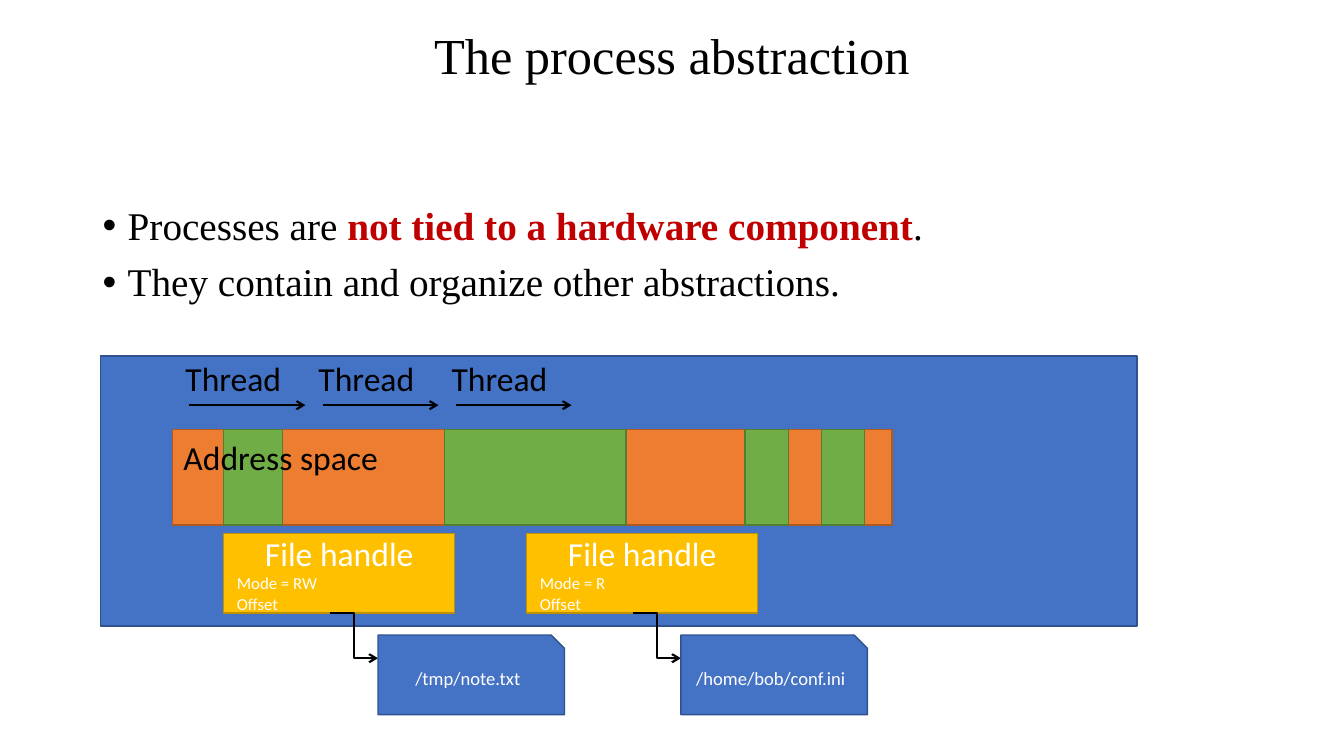
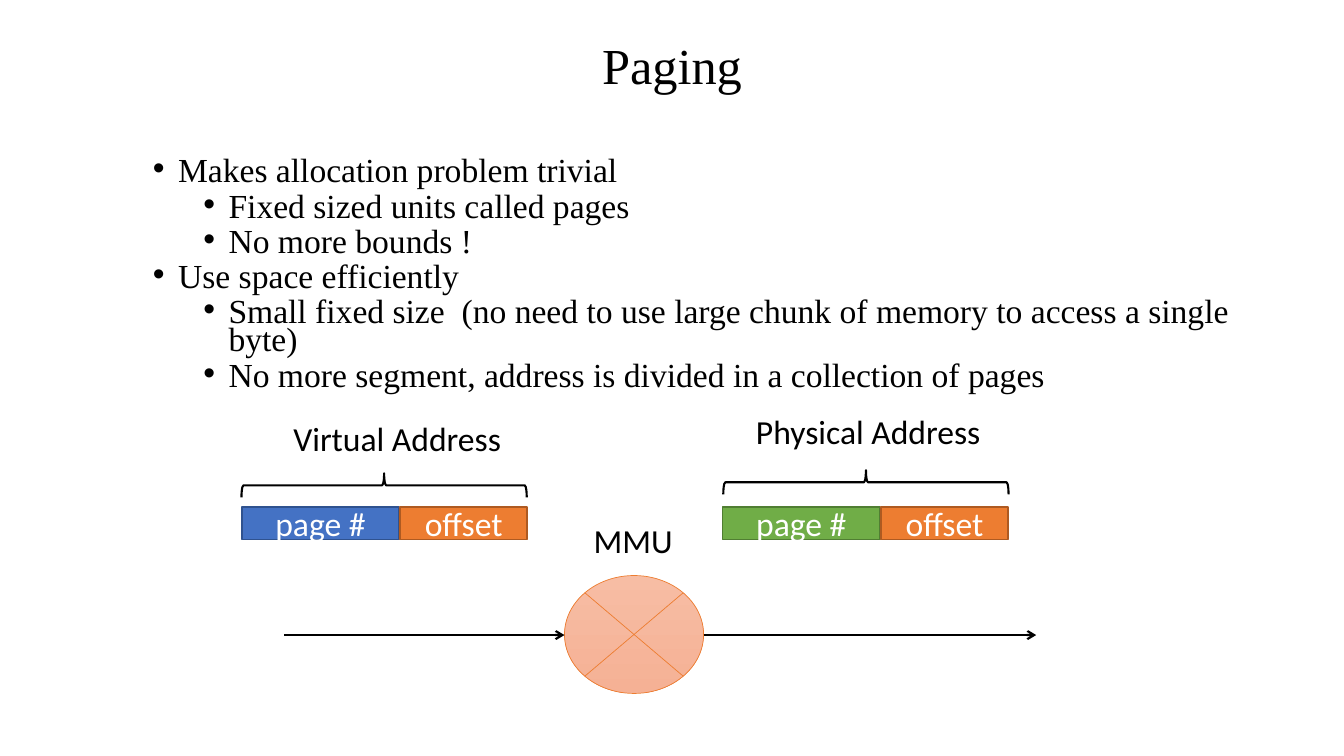
from lxml import etree
from pptx import Presentation
from pptx.dml.color import RGBColor
from pptx.enum.shapes import MSO_CONNECTOR, MSO_SHAPE
from pptx.enum.text import MSO_ANCHOR, MSO_AUTO_SIZE, PP_ALIGN
from pptx.oxml.ns import qn
from pptx.util import Inches, Pt

RECTANGLE = MSO_SHAPE.RECTANGLE
SNIPPED = MSO_SHAPE.SNIP_1_RECTANGLE
JUNCTION = MSO_SHAPE.FLOWCHART_SUMMING_JUNCTION
BRACE = MSO_SHAPE.LEFT_BRACE
STRAIGHT, ELBOW = MSO_CONNECTOR.STRAIGHT, MSO_CONNECTOR.ELBOW
LEFT, CENTER = PP_ALIGN.LEFT, PP_ALIGN.CENTER

HEX = {
    "black": "000000", "white": "FFFFFF", "emphasis": "C00000",
    "blue": "4472C4", "blue edge": "2F528F",
    "orange": "ED7D31", "orange edge": "AE5A21",
    "green": "70AD47", "green edge": "507E32",
    "gold": "FFC000", "gold edge": "BF9000",
    "junction top": "F7BDA4", "junction bottom": "F5B195",
}
COLOURS = {name: RGBColor.from_string(value) for name, value in HEX.items()}
SERIF, SANS = "Times New Roman", "Calibri"

# All places are counted in columns and rows of one square grid.
CELL = Inches(0.1)
SLIDE_COLUMNS, SLIDE_ROWS = 133.33, 75
TEXT_LEFT, TEXT_WIDTH = 9.17, 115
TITLE_HEIGHT, BODY_HEIGHT = 10.2, 47.6
LABEL_HEIGHT = 5.4
INSET_X, INSET_Y = Inches(0.13), Inches(0.07)


def add_block(page, kind, place, colour, lines=()):
    """Add a filled shape; lines holds (text, size, alignment) per paragraph."""
    block = page.shapes.add_shape(kind, *(int(cells * CELL) for cells in place))
    block.shadow.inherit = False
    block.fill.solid()
    block.fill.fore_color.rgb = COLOURS[colour]
    block.line.color.rgb = COLOURS[colour + " edge"]
    block.line.width = Pt(1)
    frame = block.text_frame
    frame.margin_left = frame.margin_right = INSET_X
    frame.margin_top = frame.margin_bottom = INSET_Y
    frame.text = "\n".join(text for text, _, _ in lines)
    for para, (_, size, alignment) in zip(frame.paragraphs, lines):
        para.alignment = alignment
        para.font.size = Pt(size)
        para.font.name = SANS
        para.font.color.rgb = COLOURS["white"]
    return block


def add_arrow(page, kind, *ends):
    """Add a black arrow; ends are start column, start row, end column, end row."""
    arrow = page.shapes.add_connector(kind, *(int(cells * CELL) for cells in ends))
    arrow.line.color.rgb = COLOURS["black"]
    arrow.line.width = Pt(1.5)
    etree.SubElement(arrow.line._get_or_add_ln(), qn("a:tailEnd"), type="arrow")
    etree.SubElement(arrow._element.spPr, qn("a:effectLst"))


deck = Presentation()
deck.slide_width = int(SLIDE_COLUMNS * CELL)
deck.slide_height = SLIDE_ROWS * CELL

# Titles and bullet lists; *asterisks* enclose emphasis.
outlines = [
    {"title": "The process abstraction", "title top": 0.7, "body top": 20,
     "size": 28, "leading": 0.9, "before": 10,
     "bullets": [
         (0, "Processes are *not tied to a hardware component*."),
         (0, "They contain and organize other abstractions."),
     ]},
    {"title": "Paging", "title top": 1.7, "body top": 15.4,
     "size": 24, "leading": 0.7, "before": 5,
     "bullets": [
         (1, "Makes allocation problem trivial"),
         (2, "Fixed sized units called pages"),
         (2, "No more bounds !"),
         (1, "Use space efficiently"),
         (2, "Small fixed size  (no need to use large chunk of memory "
             "to access a single byte)"),
         (2, "No more segment, address is divided in a collection of pages"),
     ]},
]
for outline in outlines:
    page = deck.slides.add_slide(deck.slide_layouts[1])
    title, body = page.shapes.title, page.placeholders[1]
    for holder, top, height in ((title, outline["title top"], TITLE_HEIGHT),
                                (body, outline["body top"], BODY_HEIGHT)):
        holder.left, holder.top = int(TEXT_LEFT * CELL), int(top * CELL)
        holder.width, holder.height = TEXT_WIDTH * CELL, int(height * CELL)
        holder.text_frame.auto_size = MSO_AUTO_SIZE.NONE
    title.text_frame.text = outline["title"]
    title.text_frame.vertical_anchor = MSO_ANCHOR.MIDDLE
    heading = title.text_frame.paragraphs[0]
    heading.alignment = CENTER
    heading.line_spacing = 0.9
    heading.font.size = Pt(36)
    heading.font.name = SERIF
    heading.font.color.rgb = COLOURS["black"]

    body.text_frame.text = "\n".join("" for _ in outline["bullets"])
    for para, (level, text) in zip(body.text_frame.paragraphs, outline["bullets"]):
        para.level = level
        para.alignment = LEFT
        para.line_spacing = outline["leading"]
        para.space_before = Pt(outline["before"])
        properties = para._p.get_or_add_pPr()
        properties.set("marL", str(Inches(0.25 + 0.5 * level)))
        properties.set("indent", str(-Inches(0.25)))
        etree.SubElement(properties, qn("a:buFont"), typeface="Arial")
        etree.SubElement(properties, qn("a:buChar"), char="•")
        for index, part in enumerate(text.split("*")):
            emphasised = index % 2 == 1
            span = para.add_run()
            span.text = part
            span.font.size = Pt(outline["size"])
            span.font.name = SERIF
            span.font.bold = emphasised
            span.font.color.rgb = COLOURS["emphasis" if emphasised else "black"]

process_page, paging_page = deck.slides

# Process: threads, address space and file handles in one container
add_block(process_page, RECTANGLE, (10, 35.3, 102.8, 26.8), "blue")
add_block(process_page, RECTANGLE, (17.1, 42.6, 71.4, 9.5), "orange")
for left, width in ((22.2, 5.8), (44.1, 18), (73.9, 4.3), (81.5, 4.3)):
    add_block(process_page, RECTANGLE, (left, 42.6, width, 9.5), "green")

THREAD_LEFT, THREAD_STEP = 17.1, 13.2
thread_lefts = [THREAD_LEFT + THREAD_STEP * index for index in range(3)]
for left in thread_lefts:
    add_arrow(process_page, STRAIGHT, left + 1.7, 40.2, left + 13.2, 40.2)

for left, mode, file_name in ((22.2, "RW", "/tmp/note.txt"),
                              (52.25, "R", "/home/bob/conf.ini")):
    add_block(process_page, RECTANGLE, (left, 52.9, 22.9, 7.9), "gold",
              [("File handle", 24, CENTER), (f"Mode = {mode}", 12, LEFT),
               ("Offset", 12, LEFT)])
    add_arrow(process_page, ELBOW, left + 10.5, 60.8, left + 15.3, 65.3)
    add_block(process_page, SNIPPED, (left + 15.3, 63, 18.5, 7.9), "blue",
              [(file_name, 13.3, CENTER)])

# Paging: the MMU turns a virtual address into a physical one
mmu = add_block(paging_page, JUNCTION, (56, 57.1, 13.8, 11.7), "orange")
mmu.line.color.rgb = COLOURS["orange"]
mmu.line.width = Pt(0.5)
mmu.fill.gradient()
mmu.fill.gradient_angle = 270
for stop, shade in zip(mmu.fill.gradient_stops, ("junction top", "junction bottom")):
    stop.color.rgb = COLOURS[shade]
add_arrow(paging_page, STRAIGHT, 28.2, 63, 56, 63)
add_arrow(paging_page, STRAIGHT, 69.8, 63, 102.8, 63)

for left, colour, brace_left, brace_top in ((24, "blue", 36.9, 34),
                                            (71.7, "green", 84.7, 33.7)):
    add_block(paging_page, RECTANGLE, (left, 50.3, 15.6, 3.2), colour,
              [("page #", 24, CENTER)])
    add_block(paging_page, RECTANGLE, (left + 15.7, 50.3, 12.6, 3.2), "orange",
              [("offset", 24, CENTER)])
    brace = add_block(paging_page, BRACE, (brace_left, brace_top, 2.4, 28.3), "blue")
    brace.rotation = 90
    brace.fill.background()
    brace.line.color.rgb = COLOURS["black"]
    brace.line.width = Pt(1.5)

labels = [(process_page, "Thread", left, 34.8, 12.4) for left in thread_lefts] + [
    (process_page, "Address space", 16.9, 42.6, 22.2),
    (paging_page, "MMU", 57.6, 50.9, 10.6),
    (paging_page, "Virtual Address", 27.8, 40.8, 23.6),
    (paging_page, "Physical Address", 73.7, 40.1, 25.3),
]
for page, text, *place in labels:
    box = page.shapes.add_textbox(
        *(int(cells * CELL) for cells in (*place, LABEL_HEIGHT)))
    frame = box.text_frame
    frame.word_wrap = False
    frame.auto_size = MSO_AUTO_SIZE.SHAPE_TO_FIT_TEXT
    frame.margin_left = frame.margin_right = INSET_X
    frame.margin_top = frame.margin_bottom = INSET_Y
    frame.text = text
    span = frame.paragraphs[0].runs[0]
    span.font.size = Pt(24)
    span.font.name = SANS
    span.font.color.rgb = COLOURS["black"]

deck.save("out.pptx")
